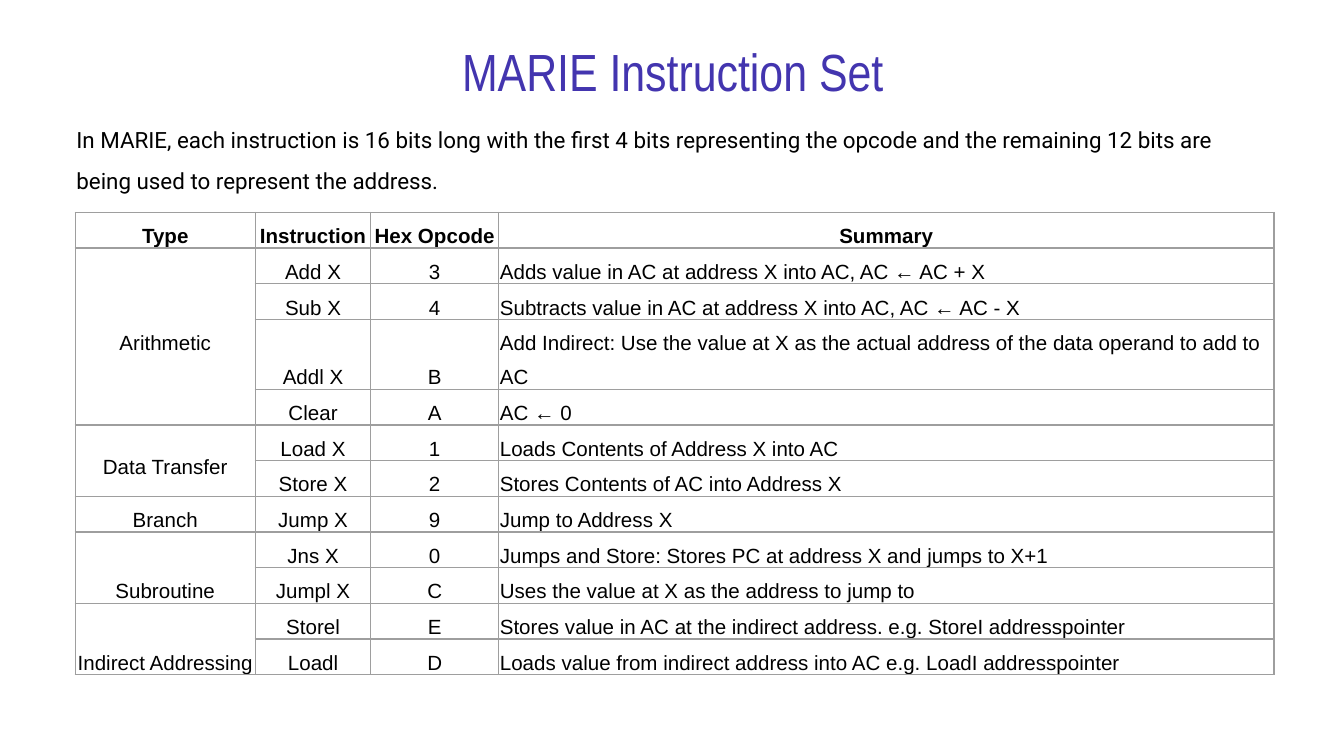
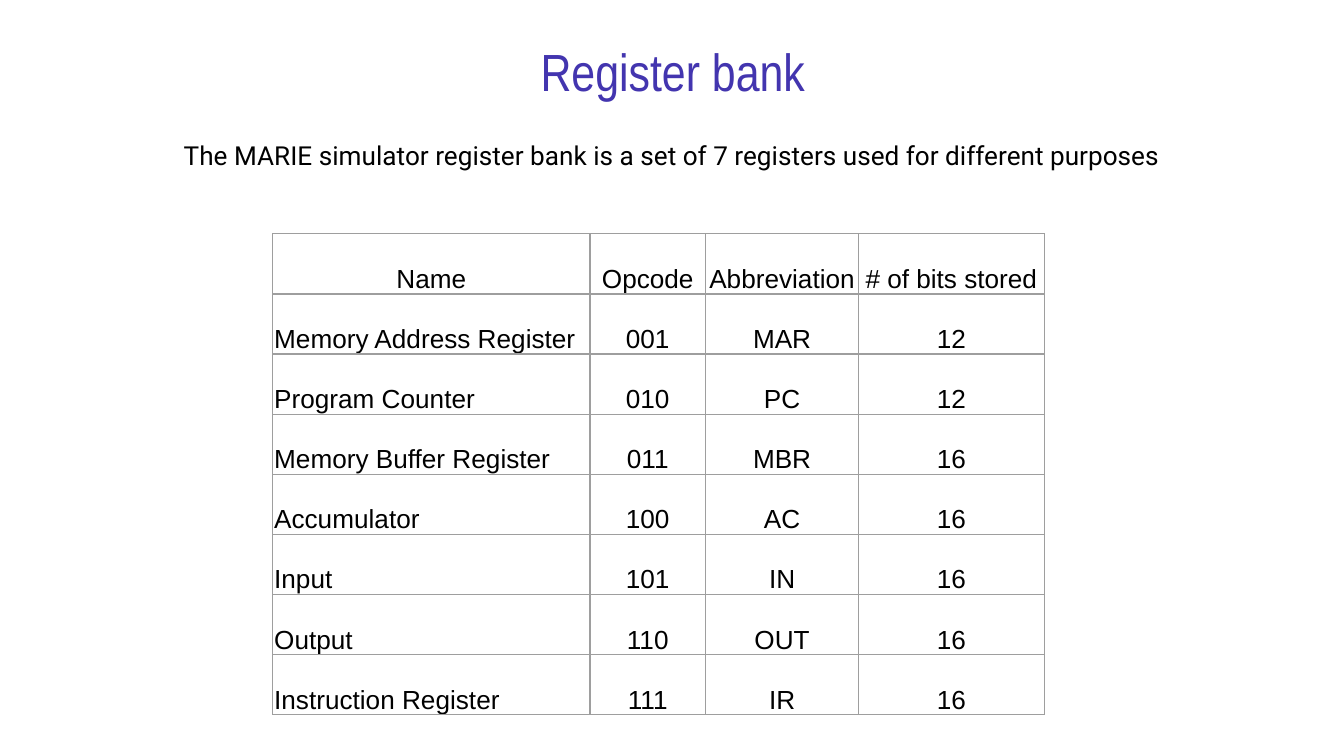
import pptx
import pptx.dml.color
import pptx.enum.text
import pptx.oxml
import pptx.oxml.ns
import pptx.util
from dataclasses import dataclass

Inches = pptx.util.Inches
Pt = pptx.util.Pt
ALIGN = pptx.enum.text.PP_ALIGN
ANCHOR = pptx.enum.text.MSO_ANCHOR


@dataclass(frozen=True)
class Theme:
    title_color: str = "4335AF"
    text_color: str = "000000"
    border_color: str = "9E9E9E"
    title_font: str = "Arial Narrow"
    intro_font: str = "Roboto"
    table_font: str = "Arial"
    title_size: int = 28
    large_size: int = 14
    intro_size: int = 12
    small_size: int = 11
    border_width: float = 0.75


theme = Theme()


def write(tf, text, font, size, color, align, spacing=None, bold=False):
    p = tf.paragraphs[0]
    p.text = text
    p.alignment = align
    p.line_spacing = spacing
    p.font.name = font
    p.font.size = Pt(size)
    p.font.bold = bold
    p.font.color.rgb = pptx.dml.color.RGBColor.from_string(color)


def add_grid(s, box, widths, row_height, rows, left_col, size, spacing, bold_header):
    frame = s.shapes.add_table(len(rows), len(widths), *map(Inches, box))
    table = frame.table
    table.first_row = False
    table.horz_banding = False
    for col, width in zip(table.columns, widths):
        col.width = Inches(width)
    for i, row in enumerate(rows):
        table.rows[i].height = Inches(row_height)
        for j, text in enumerate(row):
            cell = table.cell(i, j)
            align = ALIGN.LEFT if i and j == left_col else ALIGN.CENTER
            write(cell.text_frame, text, theme.table_font, size, theme.text_color,
                  align, spacing, bold_header and i == 0)
            cell.vertical_anchor = ANCHOR.BOTTOM
            cell.margin_left = cell.margin_right = cell.margin_top = Inches(0.01)
            cell.margin_bottom = 0
            cell.fill.background()
            tc_pr = cell._tc.get_or_add_tcPr()
            for k, side in enumerate(("lnL", "lnR", "lnT", "lnB")):
                tc_pr.insert(k, pptx.oxml.parse_xml(
                    f'<a:{side} {pptx.oxml.ns.nsdecls("a")} w="{Pt(theme.border_width)}">'
                    f'<a:solidFill><a:srgbClr val="{theme.border_color}"/></a:solidFill>'
                    f'</a:{side}>'))
    frame.height = Inches(box[3])
    return table


prs = pptx.Presentation()
prs.slide_width = Inches(10)
prs.slide_height = prs.slide_width * 9 // 16

pages = [
    ("MARIE Instruction Set",
     "In MARIE, each instruction is 16 bits long with the first 4 bits representing "
     "the opcode and the remaining 12 bits are being used to represent the address.",
     0.74, theme.intro_size, ALIGN.LEFT),
    ("Register bank",
     "The MARIE simulator register bank is a set of 7 registers used for different purposes",
     0.82, theme.large_size, ALIGN.CENTER),
]
slides = []
for title, intro, top, size, align in pages:
    s = prs.slides.add_slide(prs.slide_layouts[5])
    slides.append(s)
    sp = s.shapes.title
    sp.left, sp.top, sp.width, sp.height = map(Inches, (2.86, 0.37, 4.29, 0.31))
    write(sp.text_frame, title, theme.title_font, theme.title_size,
          theme.title_color, ALIGN.CENTER)
    sp.text_frame.vertical_anchor = ANCHOR.MIDDLE
    body = s.shapes.add_textbox(Inches(0.47), Inches(top), Inches(9.06), Inches(4.34))
    write(body.text_frame, intro, theme.intro_font, size, theme.text_color, align, 1.5)
    for tf in (sp.text_frame, body.text_frame):
        tf.word_wrap = True
        tf.auto_size = pptx.enum.text.MSO_AUTO_SIZE.NONE
        tf.margin_left = tf.margin_right = tf.margin_top = tf.margin_bottom = Inches(0.1)

instruction_slide, register_slide = slides

groups = [
    ("Arithmetic", ANCHOR.MIDDLE, [
        ("Add X", "3", "Adds value in AC at address X into AC, AC ← AC + X"),
        ("Sub X", "4", "Subtracts value in AC at address X into AC, AC ← AC - X"),
        ("Addl X", "B", "Add Indirect: Use the value at X as the actual address "
                        "of the data operand to add to AC"),
        ("Clear", "A", "AC ← 0")]),
    ("Data Transfer", ANCHOR.MIDDLE, [
        ("Load X", "1", "Loads Contents of Address X into AC"),
        ("Store X", "2", "Stores Contents of AC into Address X")]),
    ("Branch", ANCHOR.MIDDLE, [
        ("Jump X", "9", "Jump to Address X")]),
    ("Subroutine", ANCHOR.BOTTOM, [
        ("Jns X", "0", "Jumps and Store: Stores PC at address X and jumps to X+1"),
        ("Jumpl X", "C", "Uses the value at X as the address to jump to")]),
    ("Indirect Addressing", ANCHOR.BOTTOM, [
        ("Storel", "E", "Stores value in AC at the indirect address. e.g. StoreI addresspointer"),
        ("Loadl", "D", "Loads value from indirect address into AC e.g. LoadI addresspointer")]),
]
rows = [("Type", "Instruction", "Hex Opcode", "Summary")]
for name, anchor, members in groups:
    for i, member in enumerate(members):
        rows.append(("" if i else name, *member))
table = add_grid(instruction_slide, (0.56, 1.58, 8.92, 3.65), (1.34, 0.86, 0.95, 5.77),
                 0.19, rows, 3, theme.small_size, 1.5, True)
first = 1
for name, anchor, members in groups:
    cell = table.cell(first, 0)
    cell.vertical_anchor = anchor
    if len(members) > 1:
        cell.merge(table.cell(first + len(members) - 1, 0))
    first += len(members)

registers = [
    ("Name", "Opcode", "Abbreviation", "# of bits stored"),
    ("Memory Address Register", "001", "MAR", "12"),
    ("Program Counter", "010", "PC", "12"),
    ("Memory Buffer Register", "011", "MBR", "16"),
    ("Accumulator", "100", "AC", "16"),
    ("Input", "101", "IN", "16"),
    ("Output", "110", "OUT", "16"),
    ("Instruction Register", "111", "IR", "16"),
]
add_grid(register_slide, (2.03, 1.74, 5.74, 3.8), (2.36, 0.86, 1.14, 1.38),
         0.25, registers, 0, theme.large_size, 2.0, False)

prs.save("out.pptx")
